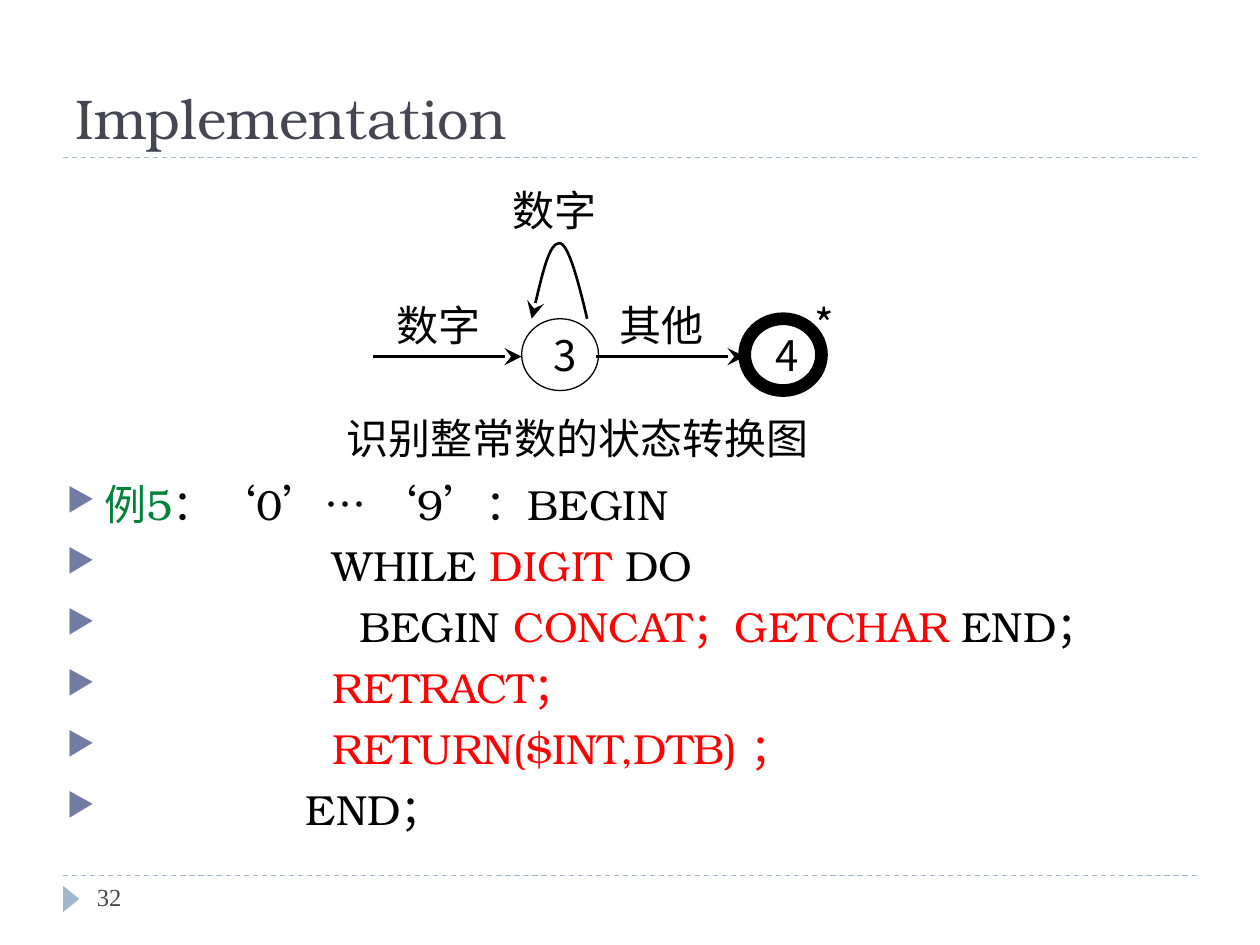
from dataclasses import dataclass

from lxml.etree import SubElement
from pptx import Presentation
from pptx.dml.color import RGBColor
from pptx.enum.dml import MSO_LINE_DASH_STYLE as Dash
from pptx.enum.shapes import MSO_CONNECTOR as Connector, MSO_SHAPE as Shape
from pptx.enum.text import MSO_ANCHOR as Anchor, PP_ALIGN as Align
from pptx.oxml.ns import qn
from pptx.util import Inches, Pt


@dataclass(frozen=True)
class Theme:
    """Colours, fonts and type sizes of the slide."""
    ink: str = "000000"
    heading: str = "464653"
    accent: str = "9FB8CD"
    bullet: str = "727CA3"
    example: str = "00823B"
    action: str = "FF0000"
    serif: str = "TeX Gyre Bonum"
    cjk: str = "Noto Sans CJK SC"
    number_font: str = "Times New Roman"
    title_size: int = 32
    body_size: int = 24
    number_size: int = 14


THEME = Theme()
CODE = [
    [("例5", THEME.example), ("：‘0’… ‘9’：BEGIN", THEME.ink)],
    [("                 WHILE ", THEME.ink), ("DIGIT ", THEME.action), ("DO", THEME.ink)],
    [("                   BEGIN ", THEME.ink), ("CONCAT；GETCHAR ", THEME.action),
     ("END；", THEME.ink)],
    [("                 RETRACT；", THEME.action)],
    [("                 RETURN($INT,DTB) ；", THEME.action)],
    [("               END；", THEME.ink)],
]


def style(paragraph, size, name, color=None):
    """Set the paragraph font, with the CJK face for East Asian text."""
    font = paragraph.font
    font.size, font.name = Pt(size), name
    if color:
        font.color.rgb = RGBColor.from_string(color)
    properties = paragraph._p.get_or_add_pPr().find(qn("a:defRPr"))
    SubElement(properties, qn("a:ea"), typeface=THEME.cjk)


def stroke(shape, color, width, arrow=False):
    """Set the outline of a shape, with an optional stealth arrowhead."""
    shape.line.color.rgb = RGBColor.from_string(color)
    shape.line.width = Pt(width)
    if arrow:
        SubElement(shape.line._get_or_add_ln(), qn("a:tailEnd"),
                   type="stealth", w="lg", len="lg")


def add_line(slide, left, right, y, color, width, arrow=False):
    """Add a horizontal line without a shadow."""
    line = slide.shapes.add_connector(
        Connector.STRAIGHT, Inches(left), Inches(y), Inches(right), Inches(y))
    stroke(line, color, width, arrow)
    SubElement(line._element.spPr, qn("a:effectLst"))
    return line


def add_label(slide, text, left, top, width, height):
    """Add a centred diagram label on one line."""
    frame = slide.shapes.add_textbox(
        Inches(left), Inches(top), Inches(width), Inches(height)).text_frame
    frame.word_wrap = False
    frame.margin_left = frame.margin_right = 0
    frame.vertical_anchor = Anchor.MIDDLE
    paragraph = frame.paragraphs[0]
    paragraph.text = text
    paragraph.alignment = Align.CENTER
    style(paragraph, THEME.body_size, THEME.cjk, THEME.ink)


def add_state(slide, text, left, top, line_width):
    """Add a numbered state of the automaton."""
    state = slide.shapes.add_shape(
        Shape.OVAL, Inches(left), Inches(top), Inches(0.61), Inches(0.57))
    state.shadow.inherit = False
    state.fill.background()
    stroke(state, THEME.ink, line_width)
    frame = state.text_frame
    frame.vertical_anchor = Anchor.TOP
    frame.margin_left = frame.margin_right = Inches(0.16)
    frame.margin_top = frame.margin_bottom = 0
    paragraph = frame.paragraphs[0]
    paragraph.text = text
    paragraph.alignment = Align.JUSTIFY
    style(paragraph, THEME.body_size, THEME.cjk, THEME.ink)


def add_loop(slide, left, top, width, height):
    """Add the curved arrow that leads from a state back to itself."""
    points = [(1, 1), (0.84, 0.5), (0.66, 0), (0.5, 0), (0.32, 0), (0.16, 0.5), (0, 1)]
    corners = [(Inches(left + x * width), Inches(top + y * height)) for x, y in points]
    builder = slide.shapes.build_freeform(*corners[0])
    builder.add_line_segments(corners[1:], close=False)
    loop = builder.convert_to_shape()
    loop.shadow.inherit = False
    loop.fill.background()
    stroke(loop, THEME.ink, 1.5, arrow=True)
    segments = list(loop._element.iter(qn("a:lnTo")))
    outline = segments[0].getparent()
    for start in range(0, len(segments), 3):
        curve = SubElement(outline, qn("a:cubicBezTo"))
        for segment in segments[start:start + 3]:
            curve.append(segment[0])
            outline.remove(segment)


def add_title(slide, left, top, width, height):
    """Place the title and the rule beneath it."""
    title = slide.shapes.title
    title.left, title.top = Inches(left), Inches(top)
    title.width, title.height = Inches(width), Inches(height)
    title.text_frame.vertical_anchor = Anchor.BOTTOM
    paragraph = title.text_frame.paragraphs[0]
    paragraph.text = "Implementation"
    paragraph.alignment = Align.LEFT
    style(paragraph, THEME.title_size, THEME.serif, THEME.heading)
    rule = add_line(slide, left, left + width, top + height, THEME.accent, 0.75)
    rule.line.dash_style = Dash.DASH


def add_diagram(slide, left, top):
    """Draw the state transition diagram for integers."""
    step, row = 1.77, top + 1.13
    for index, (state, label, width) in enumerate([("3", "数字", 0.75), ("4", "其他", 7.25)]):
        start = left + index * step
        add_state(slide, state, start + 1.18, row, width)
        add_line(slide, start, start + 1.18, row + 0.3, THEME.ink, 1.5, arrow=True)
        add_label(slide, label, start + 0.12, top + 0.91, 0.8, 0.53)
    add_loop(slide, left + 1.26, top + 0.53, 0.44, 0.6)
    add_label(slide, "数字", left + 0.74, top, 1.4, 0.53)
    add_label(slide, "识别整常数的状态转换图", left - 0.28, top + 1.81, 3.8, 0.53)
    add_label(slide, "*", left + 3.32, top + 0.98, 0.52, 0.38)


def add_bullet(paragraph):
    """Give the paragraph a hanging triangle bullet."""
    properties = paragraph._p.get_or_add_pPr()
    properties.set("marL", str(Inches(0.3)))
    properties.set("indent", str(-Inches(0.3)))
    color = SubElement(properties, qn("a:buClr"))
    SubElement(color, qn("a:srgbClr"), val=THEME.bullet)
    SubElement(properties, qn("a:buSzPct"), val="76000")
    SubElement(properties, qn("a:buChar"), char="▶")


def add_code(slide, left, top, width, height):
    """Write the bulleted code with its coloured calls."""
    frame = slide.shapes.add_textbox(
        Inches(left), Inches(top), Inches(width), Inches(height)).text_frame
    frame.word_wrap = True
    for index, line in enumerate(CODE):
        paragraph = frame.add_paragraph() if index else frame.paragraphs[0]
        add_bullet(paragraph)
        paragraph.space_before = Pt(6 if index else 0)
        style(paragraph, THEME.body_size, THEME.serif)
        for text, color in line:
            run = paragraph.add_run()
            run.text = text
            run.font.color.rgb = RGBColor.from_string(color)


def add_footer(slide, left, top, width):
    """Draw the footer rule, its marker and the slide number."""
    rule = add_line(slide, left, left + width, top, THEME.accent, 0.75)
    rule.line.dash_style = Dash.DASH
    marker = slide.shapes.add_shape(
        Shape.ISOSCELES_TRIANGLE, Inches(left - 0.04), Inches(top + 0.12),
        Inches(0.21), Inches(0.13))
    marker.rotation = 90
    marker.shadow.inherit = False
    marker.fill.solid()
    marker.fill.fore_color.rgb = RGBColor.from_string(THEME.accent)
    marker.line.fill.background()
    number = slide.shapes.add_textbox(
        Inches(left + 0.17), Inches(top), Inches(2.17), Inches(0.4))
    number.text_frame.word_wrap = True
    paragraph = number.text_frame.paragraphs[0]
    paragraph.text = "32"
    style(paragraph, THEME.number_size, THEME.number_font, THEME.heading)


def main():
    """Build and save the slide."""
    presentation = Presentation()
    presentation.slide_width, presentation.slide_height = Inches(10), Inches(7.5)
    slide = presentation.slides.add_slide(presentation.slide_layouts[5])
    add_title(slide, 0.5, 0.17, 9, 1.08)
    add_code(slide, 0.43, 3.75, 9, 3.15)
    add_diagram(slide, 2.96, 1.4)
    add_footer(slide, 0.5, 6.95, 9)
    presentation.save("out.pptx")


if __name__ == "__main__":
    main()
